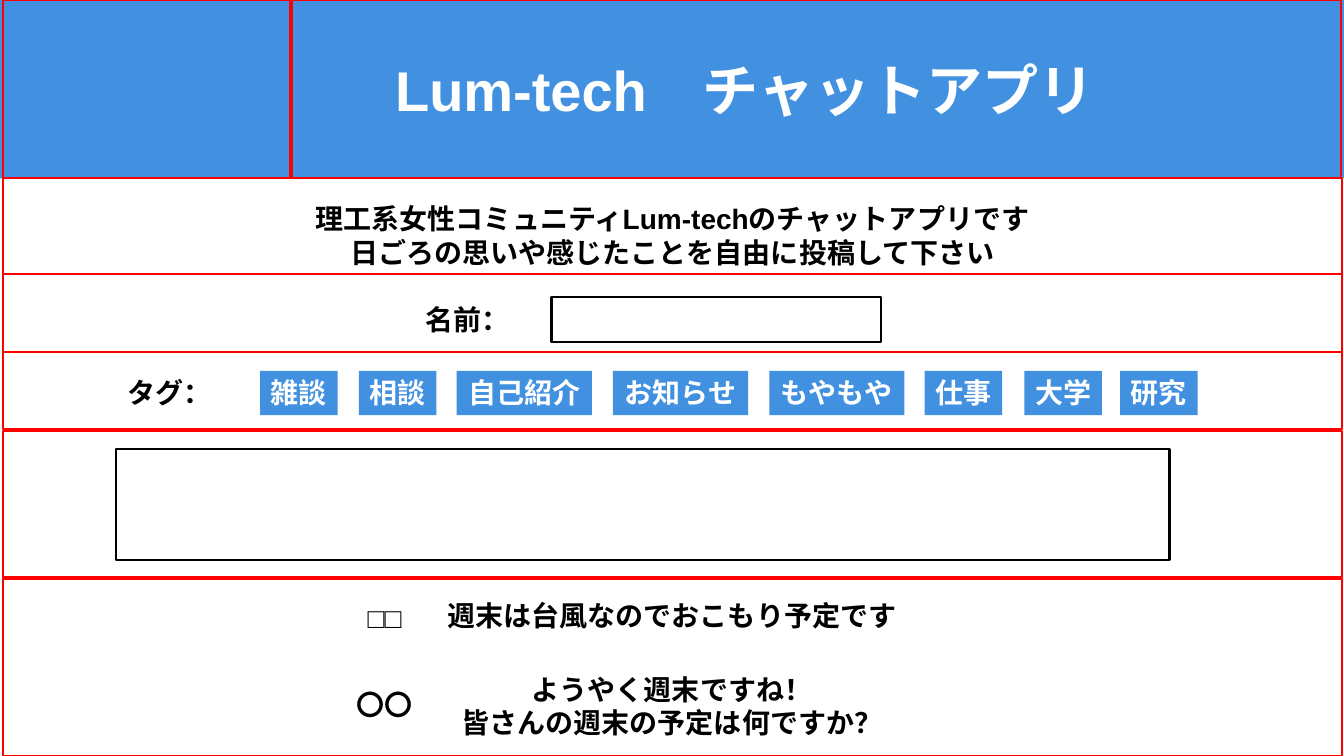
from pptx import Presentation
from pptx.dml.color import RGBColor
from pptx.enum.shapes import MSO_SHAPE as Preset
from pptx.enum.text import MSO_ANCHOR as Anchor, MSO_AUTO_SIZE as AutoSize, PP_ALIGN as Align
from pptx.util import Emu, Pt

EMU_PER_PX = 9144
BLUE = "4291E1"
BLACK = "000000"
WHITE = "FFFFFF"
RED = "FF0000"

TAG_TOP = 368
LINE_HEIGHT = 44
TAGS = [
    ("雑談", 258),
    ("相談", 356),
    ("自己紹介", 453),
    ("お知らせ", 608),
    ("もやもや", 763),
    ("仕事", 917),
    ("大学", 1016),
    ("研究", 1111),
]
LABELS = [
    (["理工系女性コミュニティLum-techのチャットアプリです",
      "日ごろの思いや感じたことを自由に投稿して下さい"], (288, 195, 758, 77)),
    (["名前："], (411, 295, 106, LINE_HEIGHT)),
    (["タグ："], (115, TAG_TOP, 106, LINE_HEIGHT)),
    (["□□"], (343, 591, 77, LINE_HEIGHT)),
    (["週末は台風なのでおこもり予定です"], (428, 589, 477, LINE_HEIGHT)),
    (["〇〇"], (343, 677, 77, LINE_HEIGHT)),
    (["ようやく週末ですね！", "皆さんの週末の予定は何ですか？"], (442, 662, 449, 77)),
]
INPUT_FIELDS = [(547, 295, 327, LINE_HEIGHT), (115, 445, 1045, 111)]
HEADER_FRAMES = [(3, 0, 285, 177), (290, 0, 1040, 177)]
SECTION_ROWS = [(177, 95), (272, 77), (349, 77), (428, 145), (574, 176)]


def px(length):
    return Emu(length * EMU_PER_PX)


def color(hex_text):
    return RGBColor.from_string(hex_text)


def write_lines(shape, lines, font_color, size=20, align=Align.CENTER):
    frame = shape.text_frame
    frame.word_wrap = False
    frame.auto_size = AutoSize.SHAPE_TO_FIT_TEXT
    frame.vertical_anchor = Anchor.TOP
    for index, line in enumerate(lines):
        paragraph = frame.add_paragraph() if index else frame.paragraphs[0]
        paragraph.alignment = align
        run = paragraph.add_run()
        run.text = line
        run.font.name = "Arial"
        run.font.size = Pt(size)
        run.font.bold = True
        run.font.color.rgb = color(font_color)


def add_label(slide, lines, box, font_color=BLACK, **style):
    shape = slide.shapes.add_textbox(*map(px, box))
    write_lines(shape, lines, font_color, **style)


def add_rectangle(slide, box):
    shape = slide.shapes.add_shape(Preset.RECTANGLE, *map(px, box))
    shape.shadow.inherit = False
    return shape


def add_panel(slide, box):
    shape = add_rectangle(slide, box)
    shape.fill.solid()
    shape.fill.fore_color.rgb = color(BLUE)
    shape.line.fill.background()
    return shape


def add_outline(slide, box, line_color):
    shape = add_rectangle(slide, box)
    shape.fill.background()
    shape.line.color.rgb = color(line_color)
    shape.line.width = Pt(1.5)


def add_tag(slide, text, left):
    width = 20 + len(text) * 57 // 2
    shape = add_panel(slide, (left, TAG_TOP, width, LINE_HEIGHT))
    write_lines(shape, [text], WHITE)


def main():
    presentation = Presentation()
    presentation.slide_width = px(1333)
    presentation.slide_height = px(750)
    slide = presentation.slides.add_slide(presentation.slide_layouts[6])

    add_panel(slide, (0, 0, 1333, 177))
    add_label(slide, ["Lum-tech　チャットアプリ"], (382, 50, 779, 77),
              WHITE, size=40, align=Align.LEFT)
    for lines, box in LABELS:
        add_label(slide, lines, box)
    for box in INPUT_FIELDS:
        add_outline(slide, box, BLACK)
    for text, left in TAGS:
        add_tag(slide, text, left)
    for box in HEADER_FRAMES:
        add_outline(slide, box, RED)
    for top, height in SECTION_ROWS:
        add_outline(slide, (3, top, 1328, height), RED)

    presentation.save("out.pptx")


if __name__ == "__main__":
    main()
